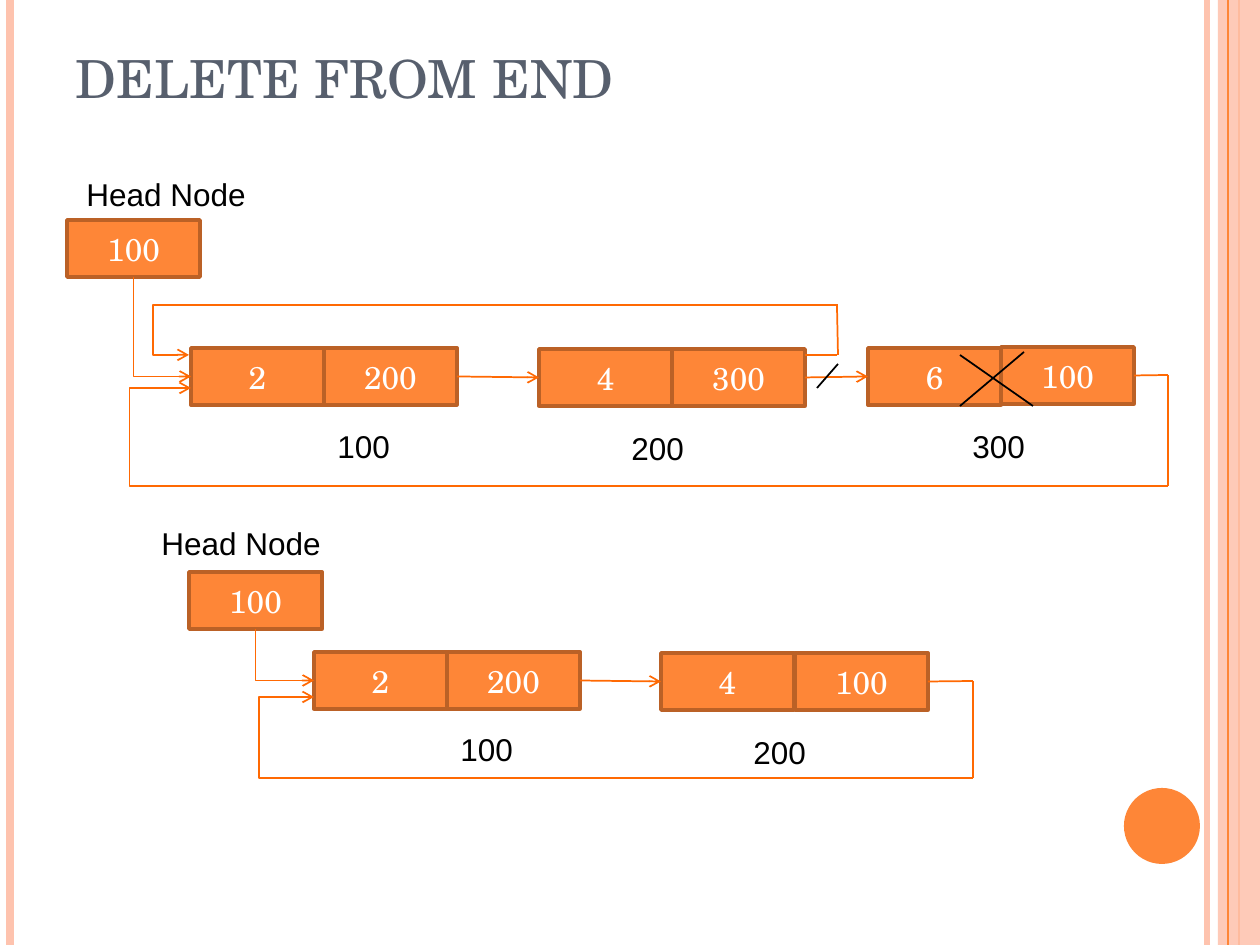
import pptx
import pptx.dml.color
import pptx.enum.shapes
import pptx.enum.text
import pptx.oxml
import pptx.oxml.ns
import pptx.util

SHAPE = pptx.enum.shapes.MSO_SHAPE
WIRE = pptx.enum.shapes.MSO_CONNECTOR
ANCHOR = pptx.enum.text.MSO_ANCHOR
ALIGN = pptx.enum.text.PP_ALIGN
FIT = pptx.enum.text.MSO_AUTO_SIZE
RGB = pptx.dml.color.RGBColor.from_string
Pt = pptx.util.Pt
SCALE = 914400 / 126
THEME = {
    "orange": RGB("FE8637"),
    "border": RGB("BB6126"),
    "wire": RGB("FF6903"),
    "rail": RGB("FEC3AE"),
    "strike": RGB("000000"),
    "title": {"name": "TeX Gyre Schola", "size": Pt(30), "color": RGB("575F6D")},
    "cell": {"name": "TeX Gyre Schola", "size": Pt(18), "color": RGB("FFFFFF")},
    "label": {"name": "Arial", "size": Pt(18), "color": RGB("000000")},
}
SITES = {1: (0, 0.5), 2: (0.5, 1), 3: (1, 0.5)}
CELL_WIDTH, CELL_HEIGHT = 133, 57

deck = pptx.Presentation()
deck.slide_width, deck.slide_height = (round(side * SCALE) for side in (1260, 945))
slide = deck.slides.add_slide(deck.slide_layouts[6])


def write(box, text, style, frame_format, align=ALIGN.LEFT):
    for key, value in frame_format.items():
        setattr(box.text_frame, key, value)
    para = box.text_frame.paragraphs[0]
    para.alignment = align
    span = para.add_run()
    span.text = text
    for key, value in THEME[style].items():
        if key == "color":
            span.font.color.rgb = value
        else:
            setattr(span.font, key, value)


def connect(start, end, color="wire", width=1, arrow=False, kind=WIRE.STRAIGHT):
    points = []
    for place, site in (start, end):
        if isinstance(place, int):
            points.append((round(place * SCALE), round(site * SCALE)))
        else:
            across, down = SITES[site]
            points.append((round(place.left + across * place.width),
                           round(place.top + down * place.height)))
    line = slide.shapes.add_connector(kind, *points[0], *points[1])
    if not isinstance(start[0], int):
        line.begin_connect(*start)
    if not isinstance(end[0], int):
        line.end_connect(*end)
    line.line.color.rgb = THEME[color]
    line.line.width = Pt(width)
    if arrow:
        line.line._get_or_add_ln().append(pptx.oxml.parse_xml(
            f'<a:tailEnd {pptx.oxml.ns.nsdecls("a")} type="arrow"/>'))
    line._element.spPr.append(pptx.oxml.parse_xml(
        f'<a:effectLst {pptx.oxml.ns.nsdecls("a")}/>'))
    return line


rails = [(1207, "rail", 3), (10, "rail", 4.5), (1239, "orange", 1.5)]
for x, color, width in rails:
    connect((x, 0), (x, 945), color, width)

for kind, place, color in [
    (SHAPE.RECTANGLE, (1218, 0, 42, 945), "rail"),
    (SHAPE.OVAL, (1124, 788, 76, 76), "orange"),
]:
    ornament = slide.shapes.add_shape(kind, *(round(n * SCALE) for n in place))
    ornament.shadow.inherit = False
    ornament.fill.solid()
    ornament.fill.fore_color.rgb = THEME[color]
    ornament.line.fill.background()
    if kind == SHAPE.RECTANGLE:
        tint = ornament._element.spPr.find(".//" + pptx.oxml.ns.qn("a:srgbClr"))
        tint.append(pptx.oxml.parse_xml(
            f'<a:alpha {pptx.oxml.ns.nsdecls("a")} val="87000"/>'))
        connect((1228, 0), (1228, 945), "orange", 0.75)

title = slide.shapes.add_textbox(*(round(n * SCALE) for n in (63, 38, 1029, 77)))
write(title, "DELETE FROM END", "title",
      {"word_wrap": True, "vertical_anchor": ANCHOR.BOTTOM})

cells = {}
for name, text, x, y in [
    ("removed link", "100", 1001, 347),
    ("head before", "100", 67, 220),
    ("first before", "2", 191, 348),
    ("first link before", "200", 324, 348),
    ("second before", "4", 539, 349),
    ("second link before", "300", 672, 349),
    ("removed", "6", 868, 348),
    ("head after", "100", 189, 572),
    ("first after", "2", 314, 652),
    ("first link after", "200", 447, 652),
    ("second after", "4", 661, 653),
    ("second link after", "100", 795, 653),
]:
    cell = slide.shapes.add_shape(SHAPE.RECTANGLE, *(
        round(n * SCALE) for n in (x, y, CELL_WIDTH, CELL_HEIGHT)))
    cell.shadow.inherit = False
    cell.fill.solid()
    cell.fill.fore_color.rgb = THEME["orange"]
    cell.line.color.rgb = THEME["border"]
    cell.line.width = Pt(2)
    write(cell, text, "cell", {"word_wrap": True, "vertical_anchor": ANCHOR.MIDDLE},
          ALIGN.CENTER)
    cells[name] = cell

for text, x, y, width in [
    ("100", 325, 421, 107),
    ("200", 619, 423, 107),
    ("300", 960, 421, 107),
    ("Head Node", 74, 169, 198),
    ("100", 448, 724, 107),
    ("200", 741, 727, 107),
    ("Head Node", 149, 518, 198),
]:
    label = slide.shapes.add_textbox(*(round(n * SCALE) for n in (x, y, width, 50)))
    write(label, text, "label", {"word_wrap": True, "auto_size": FIT.SHAPE_TO_FIT_TEXT})

for source, target in [
    ("first link before", "second before"),
    ("second link before", "removed"),
    ("first link after", "second after"),
]:
    connect((cells[source], 3), (cells[target], 1), arrow=True)

for stage in ("before", "after"):
    head_wire = connect((cells["head " + stage], 2), (cells["first " + stage], 1),
                        arrow=True, kind=WIRE.ELBOW)
    run, drop = head_wire.width, head_wire.height
    head_wire.left += (run - drop) // 2
    head_wire.top += (drop - run) // 2
    head_wire.width, head_wire.height = drop, run
    head_wire._element.spPr.xfrm.set("rot", "16200000")
    head_wire._element.spPr.xfrm.set("flipH", "1")
    head_wire._element.spPr.prstGeom.set("prst", "bentConnector2")

for start, end in [
    ((cells["removed link"], 3), (1168, 375)),
    ((1168, 375), (1168, 486)),
    ((805, 355), (837, 355)),
    ((838, 355), (837, 305)),
    ((cells["second link after"], 3), (973, 681)),
    ((973, 681), (973, 778)),
]:
    connect(start, end)

for start, end, corner in [
    ((1168, 486), (191, 388), 129),
    ((838, 305), (189, 355), 153),
    ((973, 778), (314, 697), 259),
]:
    loop = connect(start, end, arrow=True, kind=WIRE.ELBOW)
    bend = round(100000 * (start[0] - corner) / (start[0] - end[0]))
    loop._element.spPr.prstGeom.get_or_add_avLst().append(pptx.oxml.parse_xml(
        f'<a:gd {pptx.oxml.ns.nsdecls("a")} name="adj1" fmla="val {bend}"/>'))

for start, end in [
    ((838, 364), (817, 388)),
    ((1024, 352), (960, 406)),
    ((1033, 406), (960, 355)),
]:
    connect(start, end, "strike")

deck.save("out.pptx")
